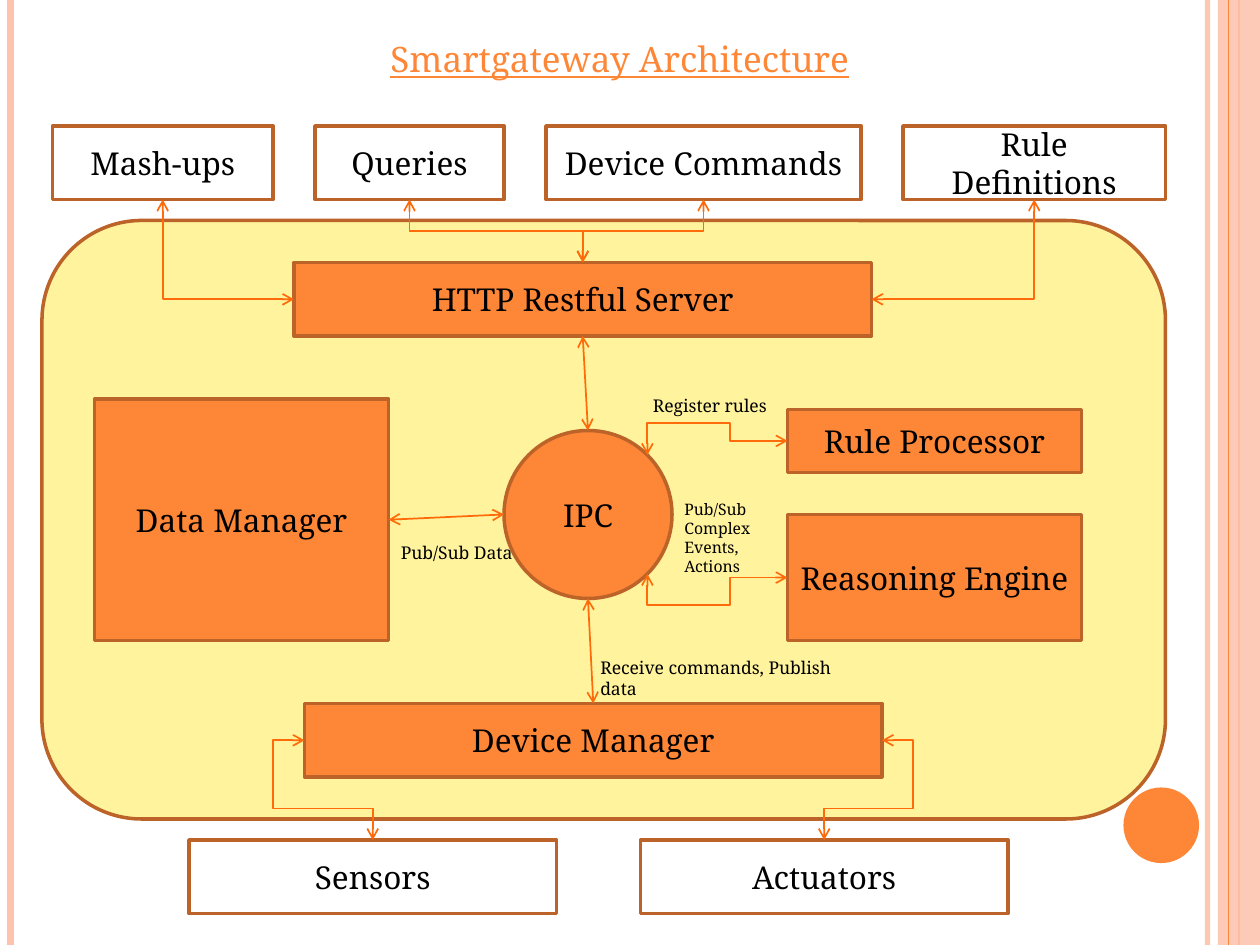
from math import sqrt

from lxml import etree
from pptx import Presentation
from pptx import util as u
from pptx.dml.color import RGBColor
from pptx.enum import shapes, text
from pptx.oxml.ns import qn

CELL = u.Inches(1) / 12
ORANGE, BROWN, YELLOW, WHITE, BLACK = "FE8637", "BC6329", "FFF39D", "FFFFFF", "000000"
PINK, ARROW = "FEC3AE", "FF6B0A"
KIND = shapes.MSO_SHAPE


def paint(fill, color, opacity=100):
    """Apply a solid colour, optionally translucent."""
    fill.solid()
    fill.fore_color.rgb = RGBColor.from_string(color)
    if opacity < 100:
        for node in fill._xPr.iter(qn("a:srgbClr")):
            etree.SubElement(node, qn("a:alpha"), val=str(opacity * 1000))


def cells(*values):
    """Turn grid cells into slide lengths."""
    return [round(value * CELL) for value in values]


def within(box, left, top, width, height):
    """Move a part from its region's grid onto the page grid."""
    return box[0] + left, box[1] + top, width, height


def anchor(box, across, down):
    """Find a point of a box from shares of its width and height."""
    return box[0] + box[2] * across, box[1] + box[3] * down


def write(shape, words, size=18, color=BLACK, align=text.PP_ALIGN.LEFT,
          middle=False, wrap=True, underline=False):
    """Fill a shape with formatted paragraphs, one for each line."""
    frame = shape.text_frame
    frame.word_wrap = wrap
    frame.vertical_anchor = text.MSO_ANCHOR.MIDDLE if middle else text.MSO_ANCHOR.TOP
    for index, line in enumerate(words.split("\n")):
        para = frame.add_paragraph() if index else frame.paragraphs[0]
        para.alignment = align
        span = para.add_run()
        span.text = line
        span.font.name, span.font.size = "Noto Serif", u.Pt(size)
        span.font.underline = underline
        span.font.color.rgb = RGBColor.from_string(color)


def label(page, box, words, **style):
    """Add a free text label."""
    write(page.shapes.add_textbox(*cells(*box)), words, **style)


def block(page, box, words="", fill=ORANGE, line=BROWN, kind=KIND.RECTANGLE, opacity=100):
    """Draw a block with centred words and return its box."""
    shape = page.shapes.add_shape(kind, *cells(*box))
    shape.shadow.inherit = False
    paint(shape.fill, fill, opacity)
    if line:
        paint(shape.line.fill, line)
        shape.line.width = u.Pt(2)
    else:
        shape.line.fill.background()
    if words:
        write(shape, words, align=text.PP_ALIGN.CENTER, middle=True)
    return box


def straight(page, start, end, color=ARROW, width=1, arrows=True, opacity=100):
    """Draw a straight line, with open arrowheads at both ends if wanted."""
    line = page.shapes.add_connector(shapes.MSO_CONNECTOR.STRAIGHT, *cells(*start, *end))
    paint(line.line.fill, color, opacity)
    line.line.width = u.Pt(width)
    if arrows:
        for tag in ("a:headEnd", "a:tailEnd"):
            etree.SubElement(line.line._get_or_add_ln(), qn(tag), type="arrow")
    etree.SubElement(line._element.spPr, qn("a:effectLst"))
    return line


def elbow(page, start, end, turns, upright=True, bend=None):
    """Draw a right-angled arrow that leaves upright or level, past a bend point."""
    line = straight(page, start, end)
    run, rise = end[0] - start[0], end[1] - start[1]
    adjust = [0.5] if turns == 2 else []
    if bend:
        adjust = [(bend[0] - start[0]) / run, (bend[1] - start[1]) / rise]
    flips = [run < 0, rise < 0]
    if upright:
        adjust.reverse()
        flips = [rise < 0, run > 0]
        middle = (start[0] + end[0]) / 2, (start[1] + end[1]) / 2
        line.left, line.top, line.width, line.height = cells(
            middle[0] - abs(rise) / 2, middle[1] - abs(run) / 2, abs(rise), abs(run))
    frame = line._element.spPr.find(qn("a:xfrm"))
    frame.set("rot", str(5400000 * upright))
    for name, flip in zip(("flipH", "flipV"), flips):
        frame.set(name, str(int(flip)))
    shape = line._element.spPr.find(qn("a:prstGeom"))
    shape.set("prst", f"bentConnector{turns + 1}")
    guides = shape.find(qn("a:avLst"))
    for index, share in enumerate(adjust, 1):
        etree.SubElement(guides, qn("a:gd"), name=f"adj{index}",
                         fmla=f"val {round(share * 100000)}")


def side_rails(page, box):
    """Draw the stripes and the dot that frame the page."""
    def rail(column, color, width, opacity=100):
        """Draw one stripe down the region."""
        top = box[0] + column, box[1]
        straight(page, top, (top[0], box[1] + box[3]), color, width, False, opacity)

    rail(115, PINK, 3, 93)
    rail(1, PINK, 4.5)
    rail(118, ORANGE, 1.5)
    block(page, within(box, 116, 0, 4, box[3]), fill=PINK, line=None, opacity=87)
    rail(117, ORANGE, 0.75)
    block(page, within(box, 107, 75, 7.2, 7.2), line=None, kind=KIND.OVAL)


def outside_row(page, box, parts):
    """Draw a row of white blocks from (name, column, width) and return their boxes."""
    return [block(page, within(box, column, 0, width, box[3]), name, WHITE)
            for name, column, width in parts]


def gateway(page, box):
    """Draw the gateway with its linked parts; return the server and device boxes."""
    block(page, box, fill=YELLOW, kind=KIND.ROUNDED_RECTANGLE)
    server = block(page, within(box, 24, 4, 55, 7), "HTTP Restful Server")
    data = block(page, within(box, 5, 17, 28, 23), "Data Manager")
    rules = block(page, within(box, 71, 18, 28, 6), "Rule Processor")
    hub = block(page, within(box, 44, 20, 16, 16), "IPC", kind=KIND.OVAL)
    devices = block(page, within(box, 25, 46, 55, 7), "Device Manager")
    engine = block(page, within(box, 71, 28, 28, 12), "Reasoning Engine")

    straight(page, anchor(server, 0.5, 1), anchor(hub, 0.5, 0))
    straight(page, anchor(hub, 0.5, 1), anchor(devices, 0.5, 0))
    straight(page, anchor(data, 1, 0.5), anchor(hub, 0, 0.5))
    near, far = 0.5 - sqrt(0.125), 0.5 + sqrt(0.125)
    for share, part, row in ((near, rules, 19.3), (far, engine, 36.6)):
        elbow(page, anchor(hub, far, share), anchor(part, 0, 0.5), 3,
              bend=(box[0] + 65.5, box[1] + row))

    label(page, within(box, 57, 16, 13.3, 3.2), "Register rules", size=10, wrap=False)
    label(page, within(box, 60, 26, 10, 8.5), "Pub/Sub\nComplex\nEvents, Actions", size=9)
    label(page, within(box, 52, 41, 27.8, 3.2), "Receive commands, Publish data", size=10)
    label(page, within(box, 33, 30, 13.2, 3.2), "Pub/Sub Data", size=10, wrap=False)
    return server, devices


def architecture(page, box):
    """Draw the whole diagram inside the page grid."""
    server, devices = gateway(page, within(box, 4, 21, 107, 57))
    mashups, queries, commands, rules = outside_row(page, within(box, 5, 12, 106, 7), (
        ("Mash-ups", 0, 21), ("Queries", 25, 18),
        ("Device Commands", 47, 30), ("Rule Definitions", 81, 25)))
    sensors, actuators = outside_row(page, within(box, 18, 80, 78, 7), (
        ("Sensors", 0, 35), ("Actuators", 43, 35)))

    for client in (queries, commands):
        elbow(page, anchor(client, 0.5, 1), anchor(server, 0.5, 0), 2)
    for client, side in ((mashups, 0), (rules, 1)):
        elbow(page, anchor(client, 0.5, 1), anchor(server, side, 0.5), 1)
    for target, side, step in ((actuators, 1, 3), (sensors, 0, -3)):
        start = anchor(devices, side, 0.5)
        elbow(page, start, anchor(target, 0.5, 0), 3, upright=False,
              bend=(start[0] + step, target[1] - 3))
    label(page, within(box, 36, 3, 49, 5.3), "Smartgateway Architecture",
          size=20, color=ORANGE, underline=True)


deck = Presentation()
deck.slide_width, deck.slide_height = u.Inches(10), u.Inches(7.5)
page = deck.slides.add_slide(deck.slide_layouts[6])
paint(page.background.fill, WHITE)
side_rails(page, (0, 0, 120, 90))
architecture(page, (0, 0, 120, 90))
deck.save("out.pptx")
